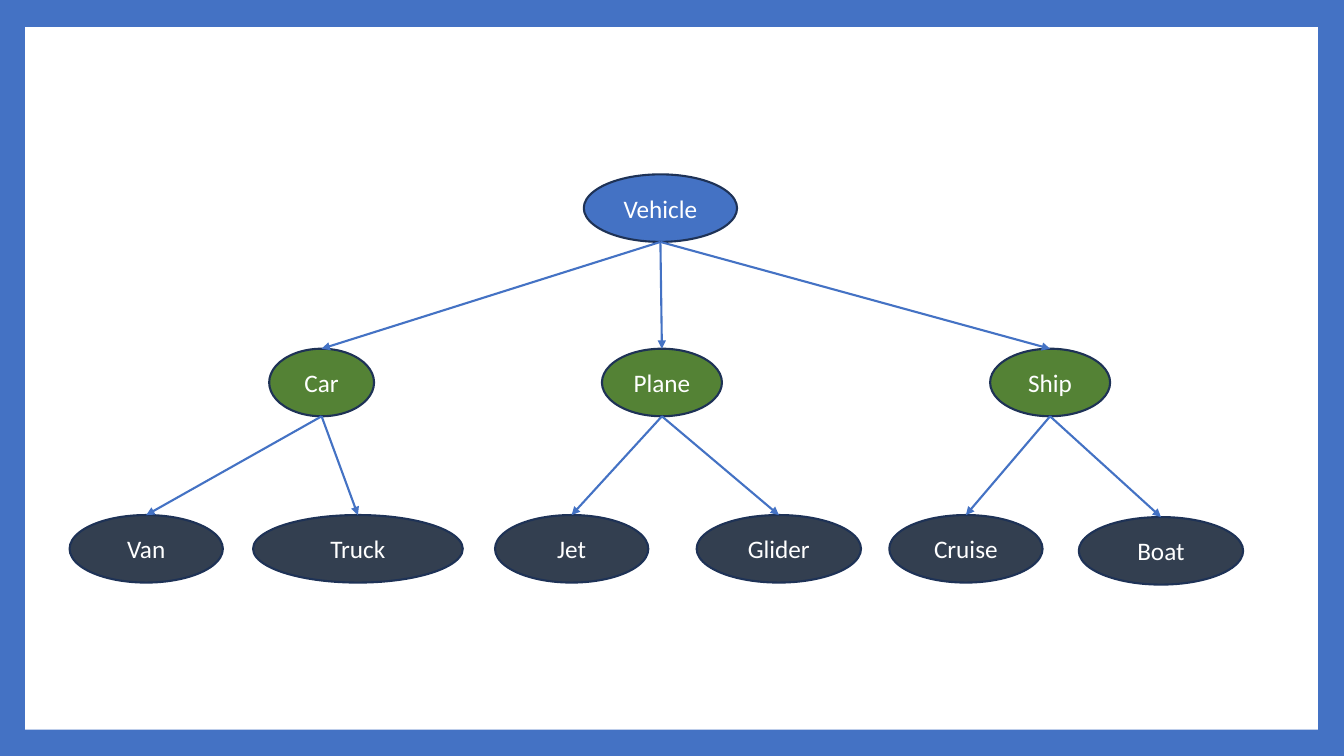
from lxml import etree
from pptx import Presentation
from pptx import util as u
from pptx.dml.color import RGBColor
from pptx.enum import shapes, text
from pptx.oxml.ns import qn

PX = 9144
BLUE, GREEN, SLATE, NAVY, WHITE = "4472C4", "548235", "333F50", "1E3256", "FFFFFF"
NODE_HEIGHT = 67
LEVEL_FILLS = [BLUE, GREEN, SLATE]
NODES = [
    ("Vehicle", None, 0, 579, 173, 152),
    ("Car", "Vehicle", 1, 267, 346, 104),
    ("Plane", "Vehicle", 1, 597, 346, 119),
    ("Ship", "Vehicle", 1, 982, 346, 119),
    ("Van", "Car", 2, 69, 511, 152),
    ("Truck", "Car", 2, 251, 511, 208),
    ("Jet", "Plane", 2, 491, 511, 152),
    ("Glider", "Plane", 2, 691, 511, 163),
    ("Cruise", "Ship", 2, 882, 511, 152),
    ("Boat", "Ship", 2, 1070, 513, 163),
]


def px(*lengths):
    """Turn pixel lengths into EMU."""
    return [u.Emu(length * PX) for length in lengths]


def paint(fill, color):
    """Give a fill one solid colour."""
    fill.solid()
    fill.fore_color.rgb = RGBColor.from_string(color)


def apply(target, values):
    """Set attributes of an object from a dict."""
    for name, value in values.items():
        setattr(target, name, value)


def add_panel(slide):
    """Add the white panel that leaves a blue frame around it."""
    panel = slide.shapes.add_shape(shapes.MSO_SHAPE.RECTANGLE, *px(25, 27, 1282, 697))
    panel.shadow.inherit = False
    paint(panel.fill, WHITE)
    panel.line.fill.background()


def add_node(slide, label, color, left, top, width):
    """Add a labelled ellipse of the tree and return it."""
    node = slide.shapes.add_shape(
        shapes.MSO_SHAPE.OVAL, *px(left, top, width, NODE_HEIGHT))
    node.shadow.inherit = False
    paint(node.fill, color)
    paint(node.line.fill, NAVY)
    node.line.width = u.Pt(1.5)
    node.text_frame.vertical_anchor = text.MSO_ANCHOR.MIDDLE
    paragraph = node.text_frame.paragraphs[0]
    paragraph.alignment = text.PP_ALIGN.CENTER
    run = paragraph.add_run()
    run.text = label
    apply(run.font, {"name": "Calibri", "size": u.Pt(18)})
    paint(run.font.fill, WHITE)
    return node


def add_arrow(slide, parent, child):
    """Add an arrow from the bottom of a parent to the top of its child."""
    arrow = slide.shapes.add_connector(
        shapes.MSO_CONNECTOR.STRAIGHT,
        parent.left + parent.width // 2, parent.top + parent.height,
        child.left + child.width // 2, child.top)
    paint(arrow.line.fill, BLUE)
    arrow.line.width = u.Pt(1.5)
    etree.SubElement(arrow.line._get_or_add_ln(), qn("a:tailEnd"), type="triangle")
    etree.SubElement(arrow._element.spPr, qn("a:effectLst"))


def main():
    """Build the vehicle tree slide."""
    presentation = Presentation()
    width, height = px(1333, 750)
    apply(presentation, {"slide_width": width, "slide_height": height})
    slide = presentation.slides.add_slide(presentation.slide_layouts[6])
    paint(slide.background.fill, BLUE)
    add_panel(slide)
    nodes = {}
    for label, _, level, *place in NODES:
        nodes[label] = add_node(slide, label, LEVEL_FILLS[level], *place)
    for label, parent, *_ in NODES:
        if parent:
            add_arrow(slide, nodes[parent], nodes[label])
    presentation.save("out.pptx")


if __name__ == "__main__":
    main()
